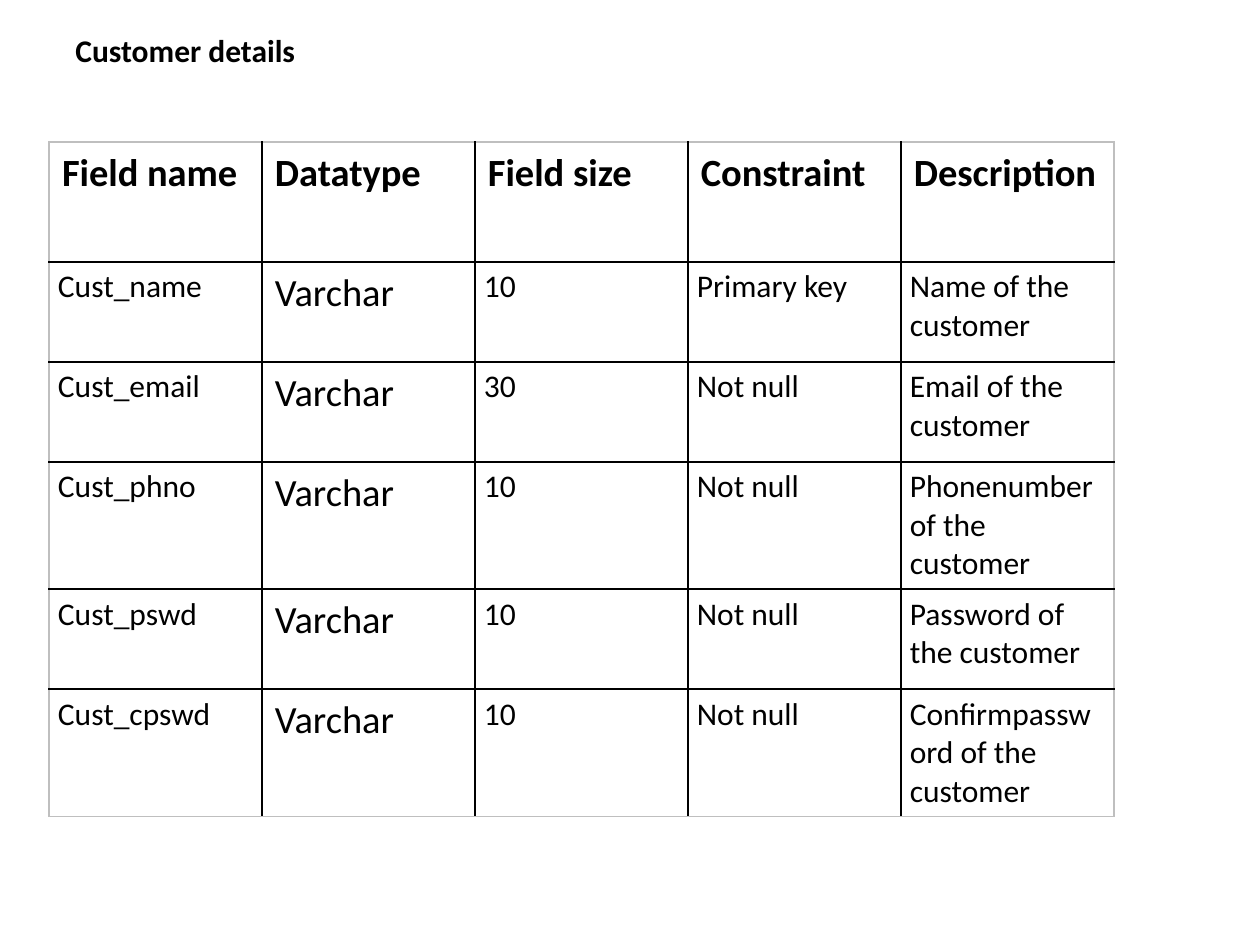
import pptx
import pptx.dml.color
import pptx.oxml
import pptx.oxml.ns
import pptx.util

PX = 914400 / 126
COLORS = {"ink": "000000", "paper": "FFFFFF", "frame": "BFBFBF"}
FONT = "Calibri"
HEADINGS = ["Field name", "Datatype", "Field size", "Constraint", "Description"]
FIELDS = [
    ["Cust_name", "Varchar", "10", "Primary key", "Name of the customer"],
    ["Cust_email", "Varchar", "30", "Not null", "Email of the customer"],
    ["Cust_phno", "Varchar", "10", "Not null", "Phonenumber of the customer"],
    ["Cust_pswd", "Varchar", "10", "Not null", "Password of the customer"],
    ["Cust_cpswd", "Varchar", "10", "Not null", "Confirmpassword of the customer"],
]


def px(length):
    return pptx.util.Emu(round(length * PX))


def rgb(name):
    return pptx.dml.color.RGBColor.from_string(COLORS[name])


class SlideBuilder:
    def __init__(self, slide):
        self.slide = slide

    def set_text(self, frame, content, size, bold):
        frame.text = content
        for run in frame.paragraphs[0].runs:
            run.font.name = FONT
            run.font.size = pptx.util.Pt(size)
            run.font.bold = bold
            run.font.color.rgb = rgb("ink")

    def title(self, content, left, top, width, height):
        heading = self.slide.shapes.add_textbox(px(left), px(top), px(width), px(height))
        heading.text_frame.word_wrap = True
        self.set_text(heading.text_frame, content, 18, True)

    def border(self, side, color):
        namespace = pptx.oxml.ns.nsdecls("a")
        return pptx.oxml.parse_xml(
            f'<a:{side} {namespace} w="12700"><a:solidFill>'
            f'<a:srgbClr val="{COLORS[color]}"/></a:solidFill></a:{side}>'
        )

    def cell(self, cell, content, large, bold, outer_sides):
        cell.margin_left = cell.margin_right = px(13 if large else 9)
        cell.margin_top = cell.margin_bottom = px(8 if large else 6)
        self.set_text(cell.text_frame, content, 22 if large else 18, bold)
        cell.fill.solid()
        cell.fill.fore_color.rgb = rgb("paper")
        properties = cell._tc.get_or_add_tcPr()
        for position, side in enumerate(["lnL", "lnR", "lnT", "lnB"]):
            color = "frame" if side in outer_sides else "ink"
            properties.insert(position, self.border(side, color))

    def table(self, rows, left, top, column_width, header_height, row_height):
        last_row, last_column = len(rows) - 1, len(rows[0]) - 1
        height = header_height + last_row * row_height
        grid = self.slide.shapes.add_table(
            len(rows), len(rows[0]), px(left), px(top),
            px(column_width * len(rows[0])), px(height),
        ).table
        grid.first_row = grid.horz_banding = False
        for column in grid.columns:
            column.width = px(column_width)
        for r, values in enumerate(rows):
            grid.rows[r].height = px(row_height if r else header_height)
            for c, value in enumerate(values):
                edges = {"lnL": c == 0, "lnR": c == last_column,
                         "lnT": r == 0, "lnB": r == last_row}
                outer_sides = [side for side, outer in edges.items() if outer]
                self.cell(grid.cell(r, c), value, r == 0 or c == 1, r == 0, outer_sides)


def main():
    deck = pptx.Presentation()
    deck.slide_width, deck.slide_height = px(1260), px(945)
    builder = SlideBuilder(deck.slides.add_slide(deck.slide_layouts[6]))
    builder.table([HEADINGS] + FIELDS, 49, 142, 213, 120, 100)
    builder.title("Customer details", 63, 25, 407, 50)
    deck.save("out.pptx")


if __name__ == "__main__":
    main()
